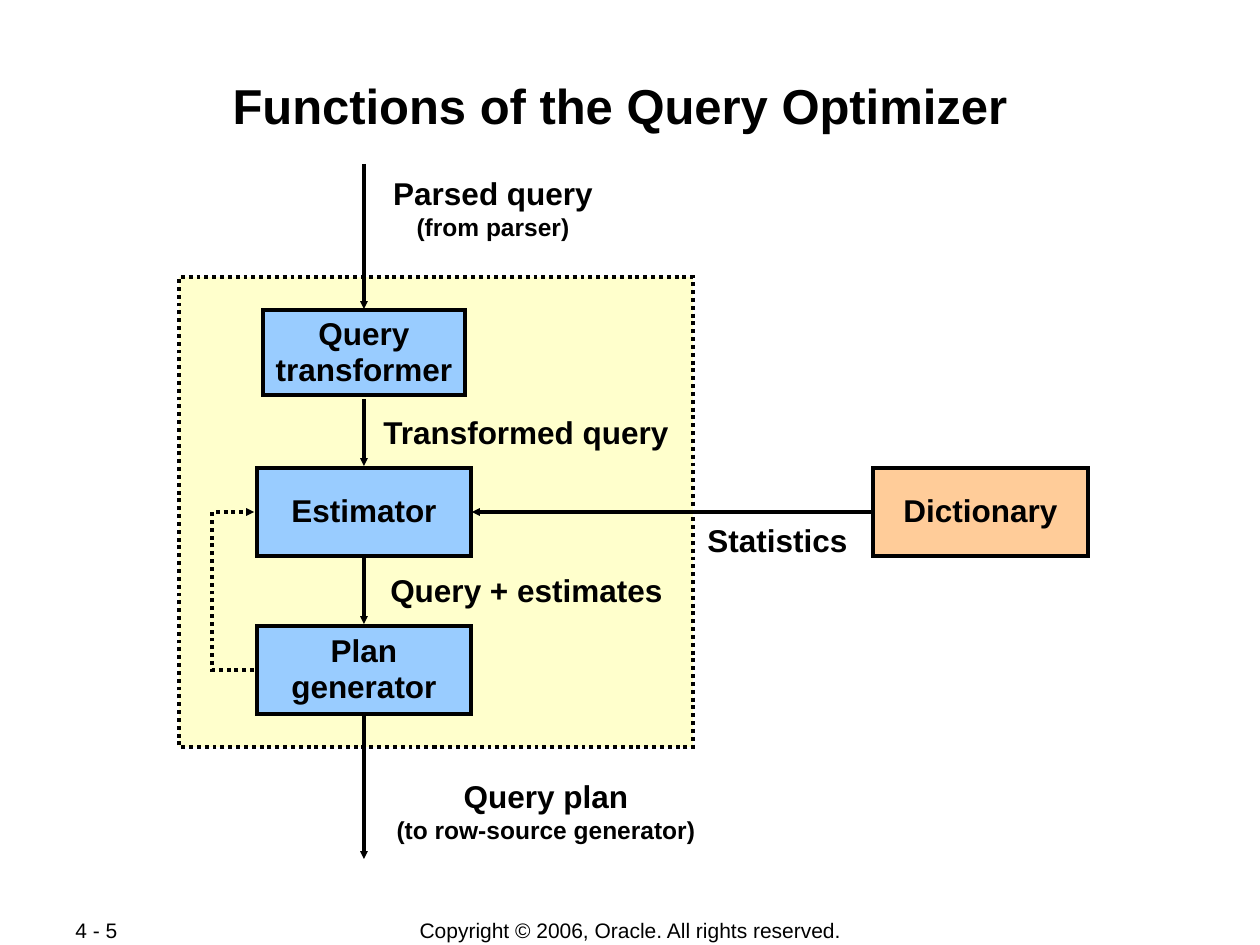
from lxml import etree
from pptx import Presentation
from pptx.dml.color import RGBColor
from pptx.enum.dml import MSO_LINE
from pptx.enum.shapes import MSO_CONNECTOR, MSO_SHAPE
from pptx.enum.text import MSO_ANCHOR, PP_ALIGN
from pptx.oxml.ns import qn
from pptx.util import Pt

PX = 914400 / 126
DOTTED = MSO_LINE.ROUND_DOT
RECTANGLE = MSO_SHAPE.RECTANGLE
STRAIGHT = MSO_CONNECTOR.STRAIGHT
TOP, MIDDLE = MSO_ANCHOR.TOP, MSO_ANCHOR.MIDDLE
LEFT, CENTER = PP_ALIGN.LEFT, PP_ALIGN.CENTER
COLORS = {
    "ink": "000000",
    "panel": "FFFFCC",
    "stage": "99CCFF",
    "store": "FFCC99",
}


def px(*lengths):
    return [round(length * PX) for length in lengths]


def color(name):
    return RGBColor.from_string(COLORS[name])


def style_text(frame, text, sizes, bold=True, align=CENTER, anchor=TOP, wrap=False):
    frame.text = text
    frame.word_wrap = wrap
    frame.vertical_anchor = anchor
    for paragraph in frame.paragraphs:
        paragraph.alignment = align
        for run, size in zip(paragraph.runs, sizes):
            run.font.name = "Arial"
            run.font.size = Pt(size)
            run.font.bold = bold
            run.font.color.rgb = color("ink")


def style_line(shape, dash=None):
    shape.line.color.rgb = color("ink")
    shape.line.width = Pt(2.25)
    if dash:
        shape.line.dash_style = dash
    outline = shape._element.spPr.find(qn("a:ln"))
    etree.SubElement(outline, qn("a:miter"), lim="800000")
    return outline


def add_arrowhead(outline):
    etree.SubElement(outline, qn("a:tailEnd"), type="triangle", w="sm", len="sm")


def add_label(slide, box, text, sizes=(18,), **style):
    label = slide.shapes.add_textbox(*px(*box))
    style_text(label.text_frame, text, sizes, **style)


def add_block(slide, box, fill, text="", dash=None):
    block = slide.shapes.add_shape(RECTANGLE, *px(*box))
    block.shadow.inherit = False
    block.fill.solid()
    block.fill.fore_color.rgb = color(fill)
    style_line(block, dash)
    if text:
        style_text(block.text_frame, text, (18,), anchor=MIDDLE)
        for paragraph in block.text_frame.paragraphs:
            paragraph.line_spacing = 0.95


def add_arrow(slide, start, end):
    arrow = slide.shapes.add_connector(STRAIGHT, *px(*start, *end))
    add_arrowhead(style_line(arrow))
    etree.SubElement(arrow._element.spPr, qn("a:effectLst"))


def add_feedback(slide, x, y, width, height):
    corners = [(x + width, y + height), (x, y + height), (x, y), (x + width, y)]
    start, *bends = [tuple(px(*corner)) for corner in corners]
    builder = slide.shapes.build_freeform(*start)
    builder.add_line_segments(bends, close=False)
    feedback = builder.convert_to_shape()
    feedback.shadow.inherit = False
    feedback.fill.background()
    add_arrowhead(style_line(feedback, DOTTED))


def add_optimizer(slide, x, y, width, height):
    add_block(slide, (x, y, width, height), "panel", dash=DOTTED)

    stages = [
        ((84, 33, 202, 85), "Query\ntransformer"),
        ((78, 191, 214, 88), "Estimator"),
        ((78, 349, 214, 88), "Plan\ngenerator"),
    ]
    for (left, top, *size), text in stages:
        add_block(slide, (x + left, y + top, *size), "stage", text)

    axis = x + 185
    for top, bottom in [(-113, 32), (122, 189), (280, 347), (437, 582)]:
        add_arrow(slide, (axis, y + top), (axis, y + bottom))
    add_feedback(slide, x + 33, y + 235, 42, 158)

    flows = [
        ((192, -109, 244, 81), "Parsed query\v(from parser)"),
        ((181, 130, 332, 50), "Transformed query"),
        ((189, 288, 317, 50), "Query + estimates"),
        ((195, 494, 344, 81), "Query plan\v(to row-source generator)"),
    ]
    for (left, top, *size), text in flows:
        add_label(slide, (x + left, y + top, *size), text, (18, 14))


def add_dictionary(slide, x, y, width, height):
    middle = y + height // 2
    add_arrow(slide, (x, middle), (x - 401, middle))
    add_block(slide, (x, y, width, height), "store", "Dictionary")
    add_label(slide, (x - 188, middle + 3, 185, 50), "Statistics")


def add_footer(slide, x, y, width, height):
    style = {"sizes": (12,), "bold": False, "anchor": MIDDLE, "wrap": True}
    add_label(slide, (x, y, 134, height), "4 - 5", align=LEFT, **style)
    copyright_line = "Copyright © 2006, Oracle. All rights reserved."
    add_label(slide, (x + 285, y, width - 285, height), copyright_line, **style)


def main():
    presentation = Presentation()
    presentation.slide_width, presentation.slide_height = px(1260, 945)
    slide = presentation.slides.add_slide(presentation.slide_layouts[6])
    add_label(slide, (116, 69, 1008, 121), "Functions of the Query Optimizer",
              (28,), wrap=True)
    add_optimizer(slide, 179, 277, 514, 470)
    add_dictionary(slide, 873, 468, 215, 88)
    add_footer(slide, 63, 917, 850, 26)
    presentation.save("out.pptx")


if __name__ == "__main__":
    main()
